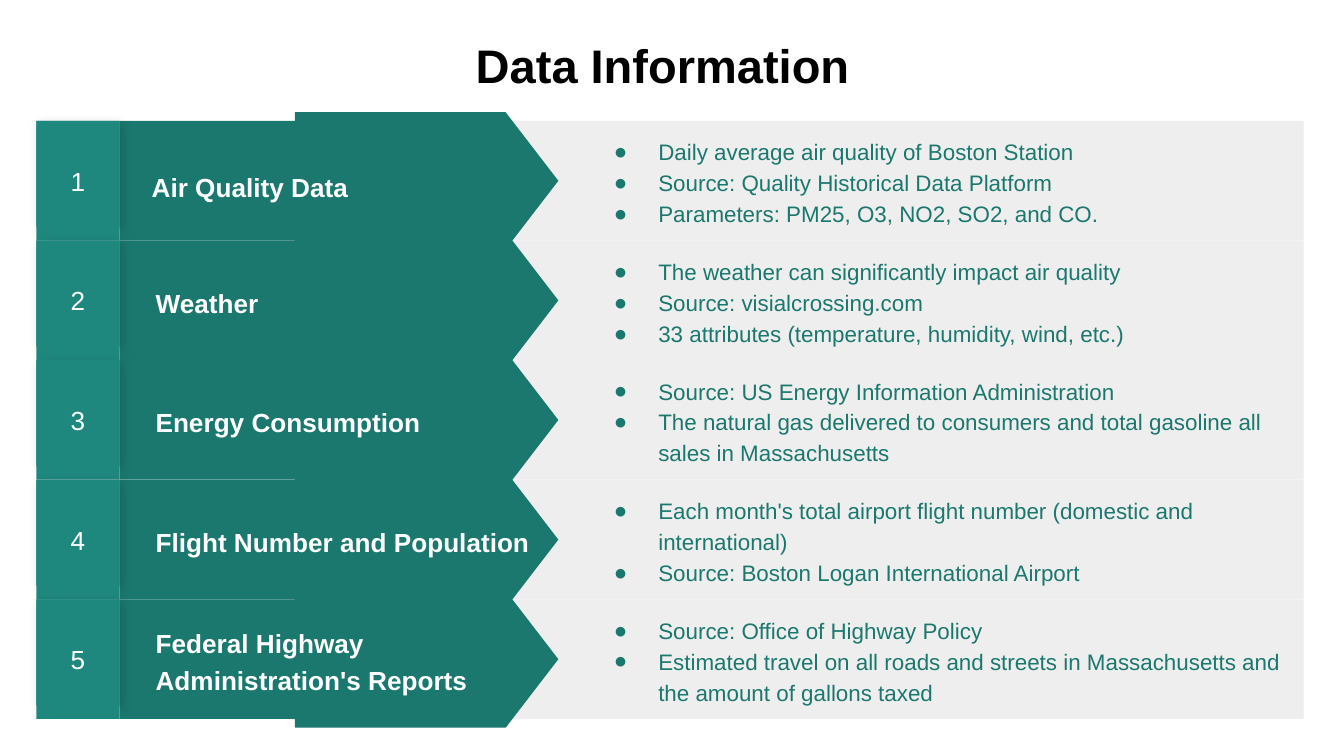
"""Build the Data Information slide: five numbered sources with arrows and details."""
from dataclasses import dataclass

from lxml import etree
from pptx import Presentation
from pptx.dml.color import RGBColor
from pptx.enum.shapes import MSO_SHAPE
from pptx.enum.text import MSO_ANCHOR, PP_ALIGN
from pptx.oxml.ns import qn
from pptx.util import Emu, Pt

RECTANGLE = MSO_SHAPE.RECTANGLE
ARROW = MSO_SHAPE.FLOWCHART_OFFPAGE_CONNECTOR
MIDDLE, BOTTOM = MSO_ANCHOR.MIDDLE, MSO_ANCHOR.BOTTOM
LEFT, CENTER = PP_ALIGN.LEFT, PP_ALIGN.CENTER

EMU_PER_PX = 4572
PAGE_WIDTH, PAGE_HEIGHT = 2000, 1125
ROW_TOP, ROW_HEIGHT = 180, 178
ARROW_CENTER, ARROW_LENGTH, ARROW_BREADTH = 635, 392, 204
INSET = 20
BULLET_MARGIN, BULLET_INDENT = 100, -66

FONT = "Arial"
BLACK, WHITE, GRAY = "000000", "FFFFFF", "EEEEEE"
TEAL, TEAL_SHADE, TEAL_LIGHT = "1B786E", "1D7E74", "1F887E"


@dataclass(frozen=True)
class Area:
    left: int
    top: int
    width: int
    height: int


@dataclass(frozen=True)
class TextStyle:
    size: float
    color: str
    bold: bool = False
    align: PP_ALIGN = LEFT
    anchor: MSO_ANCHOR = MIDDLE
    spacing: float = 1.0
    bulleted: bool = False


@dataclass(frozen=True)
class Source:
    label: str
    details: tuple[str, ...]
    label_left: int = 212
    label_drop: int = 20
    label_width: int = 614


TITLE = TextStyle(25.2, BLACK, bold=True, align=CENTER, anchor=BOTTOM)
NUMBER = TextStyle(14, WHITE, align=CENTER)
LABEL = TextStyle(14, WHITE, bold=True, spacing=1.15)
DETAIL = TextStyle(12, TEAL, spacing=1.15, bulleted=True)

SOURCES = (
    Source("Air Quality Data", (
        "Daily average air quality of Boston Station",
        "Source: Quality Historical Data Platform",
        "Parameters: PM25, O3, NO2, SO2, and CO.",
    ), label_left=206, label_drop=26, label_width=496),
    Source("Weather", (
        "The weather can significantly impact air quality",
        "Source: visialcrossing.com",
        "33 attributes (temperature, humidity, wind, etc.)",
    )),
    Source("Energy Consumption", (
        "Source: US Energy Information Administration",
        "The natural gas delivered to consumers and total gasoline all sales in Massachusetts",
    )),
    Source("Flight Number and Population", (
        "Each month's total airport flight number (domestic and international)",
        "Source: Boston Logan International Airport",
    )),
    Source("Federal Highway Administration's Reports", (
        "Source: Office of Highway Policy",
        "Estimated travel on all roads and streets in Massachusetts and the amount of gallons taxed",
    )),
)


def px(length: int) -> Emu:
    return Emu(length * EMU_PER_PX)


def rgb(color: str) -> RGBColor:
    return RGBColor.from_string(color)


def bounds(area: Area) -> tuple[Emu, Emu, Emu, Emu]:
    return px(area.left), px(area.top), px(area.width), px(area.height)


def add_bullet(para, color: str) -> None:
    properties = para._p.get_or_add_pPr()
    properties.set("marL", str(px(BULLET_MARGIN)))
    properties.set("indent", str(px(BULLET_INDENT)))
    bullet_color = etree.SubElement(properties, qn("a:buClr"))
    etree.SubElement(bullet_color, qn("a:srgbClr"), val=color)
    etree.SubElement(properties, qn("a:buFont"), typeface=FONT)
    etree.SubElement(properties, qn("a:buChar"), char="●")


def write(shape, lines: tuple[str, ...], style: TextStyle) -> None:
    frame = shape.text_frame
    frame.word_wrap = True
    frame.vertical_anchor = style.anchor
    frame.margin_left = frame.margin_right = px(INSET)
    frame.margin_top = frame.margin_bottom = px(INSET)
    frame.text = "\n".join(lines)
    for para in frame.paragraphs:
        if style.bulleted:
            add_bullet(para, style.color)
        para.alignment = style.align
        para.line_spacing = style.spacing
        para.font.name = FONT
        para.font.size = Pt(style.size)
        para.font.bold = style.bold
        para.font.color.rgb = rgb(style.color)


def add_text(shapes, area: Area, lines: tuple[str, ...], style: TextStyle) -> None:
    write(shapes.add_textbox(*bounds(area)), lines, style)


def add_block(shapes, area: Area, color: str, kind: MSO_SHAPE = RECTANGLE):
    block = shapes.add_shape(kind, *bounds(area))
    block.shadow.inherit = False
    block.fill.solid()
    block.fill.fore_color.rgb = rgb(color)
    block.line.fill.background()
    return block


def add_shadow(block) -> None:
    effects = block._element.spPr.find(qn("a:effectLst"))
    shadow = etree.SubElement(
        effects, qn("a:outerShdw"), blurRad=str(Pt(5.6)), dist=str(Pt(2.2)),
        dir="2700000", algn="tl", rotWithShape="0")
    color = etree.SubElement(shadow, qn("a:srgbClr"), val=BLACK)
    etree.SubElement(color, qn("a:alpha"), val="17000")


def add_arrow(shapes, top: int) -> None:
    middle = top + ROW_HEIGHT // 2
    area = Area(ARROW_CENTER - ARROW_BREADTH // 2, middle - ARROW_LENGTH // 2,
                ARROW_BREADTH, ARROW_LENGTH)
    add_block(shapes, area, TEAL, ARROW).rotation = 270


def add_row(page, index: int, source: Source) -> None:
    top = ROW_TOP + index * ROW_HEIGHT
    shapes = page.shapes.add_group_shape().shapes
    add_block(shapes, Area(730, top, 1210, ROW_HEIGHT), GRAY)
    add_block(shapes, Area(178, top, 584, ROW_HEIGHT), TEAL)
    add_arrow(shapes, top)
    label_area = Area(source.label_left, top + source.label_drop, source.label_width, 138)
    add_text(shapes, label_area, (source.label,), LABEL)
    add_shadow(add_block(shapes, Area(54, top, 124, 158), TEAL_SHADE))
    number = add_block(shapes, Area(54, top, 124, ROW_HEIGHT), TEAL_LIGHT)
    write(number, (str(index + 1),), NUMBER)
    add_text(shapes, Area(860, top, 1080, ROW_HEIGHT), source.details, DETAIL)


def main() -> None:
    deck = Presentation()
    deck.slide_width, deck.slide_height = px(PAGE_WIDTH), px(PAGE_HEIGHT)
    page = deck.slides.add_slide(deck.slide_layouts[6])
    add_text(page.shapes, Area(54, 32, 1864, 126), ("Data Information",), TITLE)
    for index, source in enumerate(SOURCES):
        add_row(page, index, source)
    deck.save("out.pptx")


if __name__ == "__main__":
    main()
